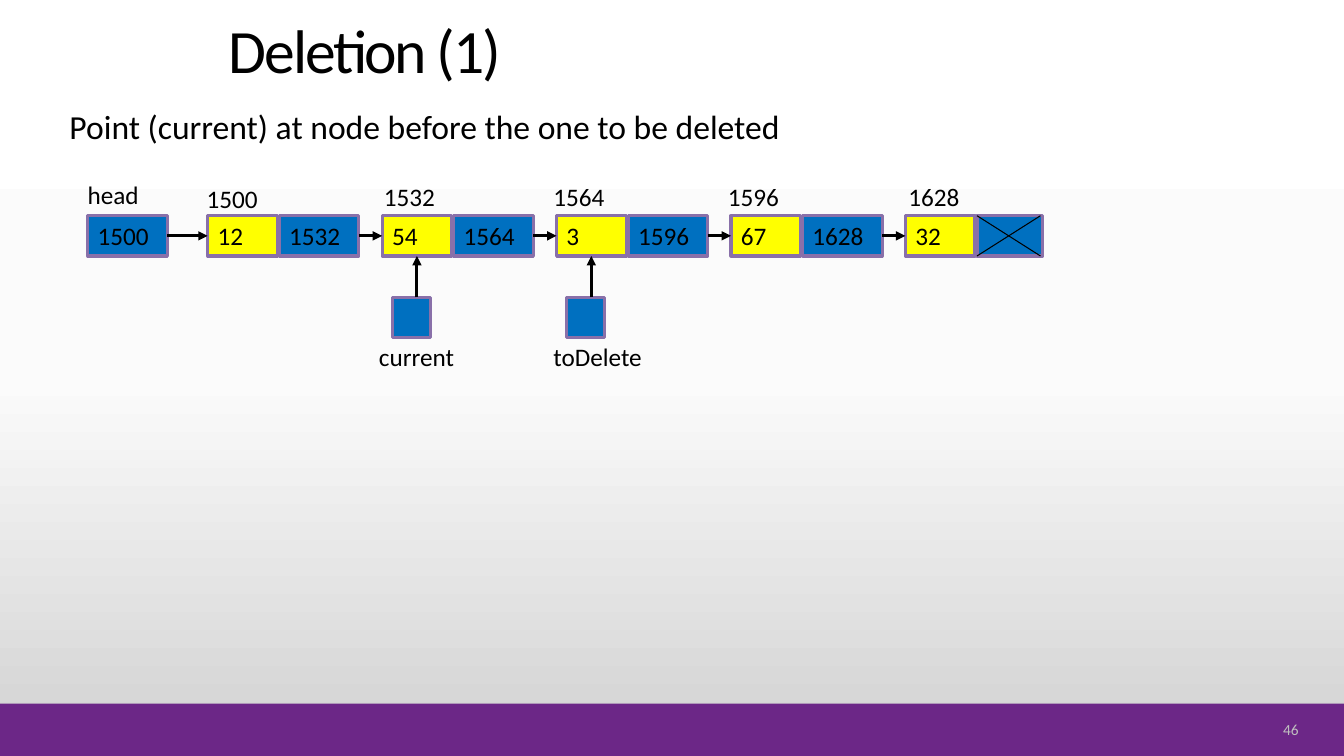
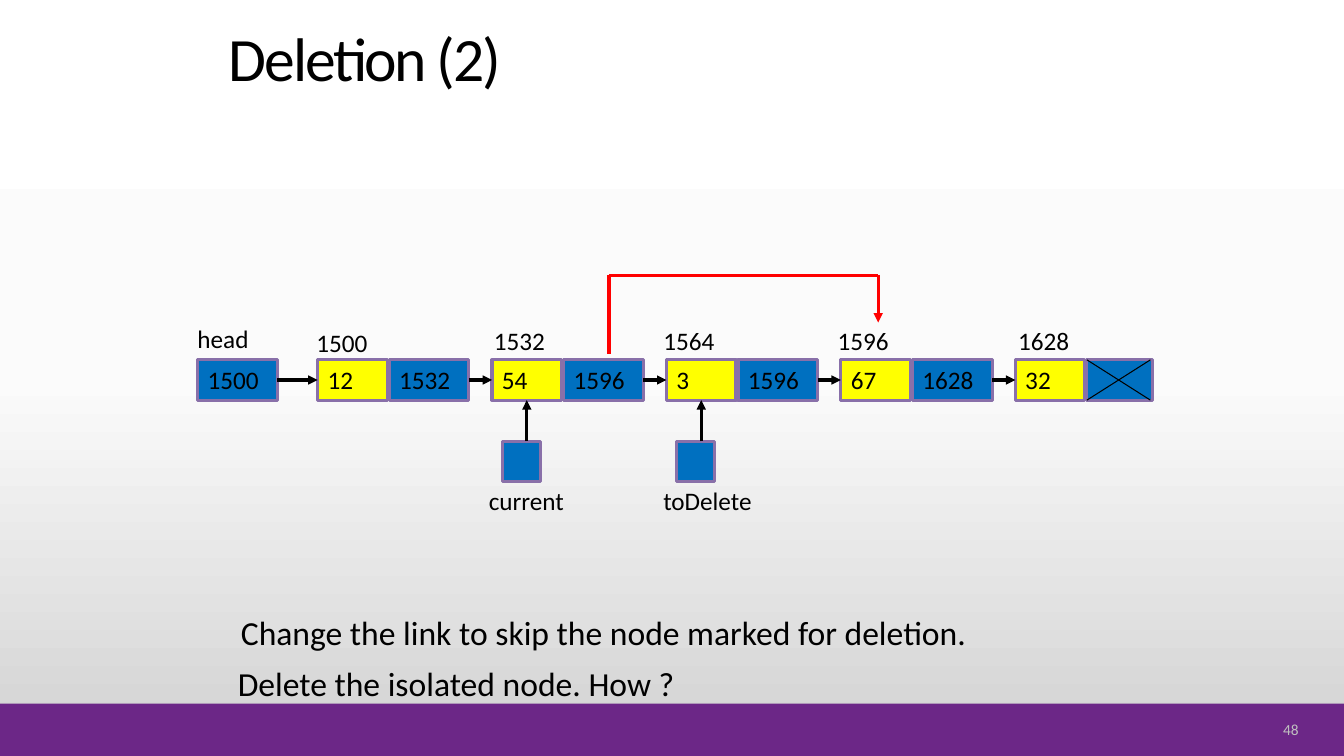
from copy import deepcopy
from dataclasses import dataclass

from lxml import etree
from pptx import Presentation
from pptx.dml.color import RGBColor
from pptx.enum.shapes import MSO_CONNECTOR, MSO_SHAPE
from pptx.enum.text import MSO_ANCHOR, PP_ALIGN
from pptx.oxml.ns import qn
from pptx.util import Inches, Pt

STRAIGHT = MSO_CONNECTOR.STRAIGHT
RECTANGLE = MSO_SHAPE.RECTANGLE
TOP, MIDDLE, BOTTOM = MSO_ANCHOR.TOP, MSO_ANCHOR.MIDDLE, MSO_ANCHOR.BOTTOM
LEFT, RIGHT = PP_ALIGN.LEFT, PP_ALIGN.RIGHT
LEFT_SIDE, BOTTOM_SIDE, RIGHT_SIDE = 1, 2, 3


@dataclass(frozen=True)
class Theme:
    font: str = "Calibri"
    ink: str = "000000"
    band: str = "6C2787"
    number: str = "BFBFBF"
    link_cell: str = "0070C0"
    data_cell: str = "FFFF00"
    border: str = "8970A9"
    skip: str = "FF0000"
    backdrop: tuple = ((0, "FFFFFF"), (0.5, "FBFBFB"), (1, "D1D1D1"))
    title_size: int = 44
    body_size: int = 24
    cell_size: int = 18
    number_size: int = 11
    thick: float = 2.25
    thin: float = 0.75


THEME = Theme()
PAGE_WIDTH, PAGE_HEIGHT = 13.33, 7.5
BAND_TOP = 6.98

# List diagram, measured from the top left corner of the head cell
FIRST_NODE, NODE_STEP = 1.19, 1.73
DATA_WIDTH, LINK_LEFT, LINK_WIDTH, END_WIDTH = 0.69, 0.71, 0.79, 0.65
CELL_HEIGHT = 0.4
# Address, value and left edge of the address label relative to its node
NODES = (
    ("1500", "12", -0.11),
    ("1532", "54", -0.08),
    ("1564", "3", -0.13),
    ("1596", "67", -0.13),
    ("1628", "32", -0.07),
)
CURRENT, TO_DELETE, AFTER = 1, 2, 3


def color(code):
    return RGBColor.from_string(code)


def write(shape, text, size=THEME.cell_size, ink=THEME.ink, anchor=TOP,
          align=LEFT, wrap=True, line_spacing=None, tracking=None):
    frame = shape.text_frame
    frame.word_wrap = wrap
    frame.vertical_anchor = anchor
    para = frame.paragraphs[0]
    para.alignment = align
    if line_spacing:
        para.line_spacing = line_spacing
    span = para.add_run()
    span.text = text
    span.font.name = THEME.font
    span.font.size = Pt(size)
    span.font.color.rgb = color(ink)
    if tracking:
        span.font._element.set("spc", str(round(tracking * 100)))


def add_text(page, text, left, top, width, height, **style):
    box = page.shapes.add_textbox(Inches(left), Inches(top), Inches(width), Inches(height))
    write(box, text, **style)


def add_box(page, left, top, width, height, fill, border=None, text=""):
    box = page.shapes.add_shape(RECTANGLE, Inches(left), Inches(top),
                                Inches(width), Inches(height))
    box.shadow.inherit = False
    box.fill.solid()
    box.fill.fore_color.rgb = color(fill)
    if border:
        box.line.color.rgb = color(border)
        box.line.width = Pt(THEME.thick)
    else:
        box.line.fill.background()
    if text:
        write(box, text)
    return box


def add_line(page, start, end, ink=THEME.ink, width=THEME.thick, arrow=False):
    line = page.shapes.add_connector(STRAIGHT, *map(Inches, (*start, *end)))
    line.line.color.rgb = color(ink)
    line.line.width = Pt(width)
    if arrow:
        outline = line.line._get_or_add_ln()
        etree.SubElement(outline, qn("a:tailEnd"), type="triangle")
    etree.SubElement(line._element.spPr, qn("a:effectLst"))
    return line


def set_backdrop(master):
    fill = master.background.fill
    fill.gradient()
    fill.gradient_angle = 270
    stops = master.element.find(".//" + qn("a:gsLst"))
    stops.insert(1, deepcopy(stops[0]))
    for stop, (position, code) in zip(fill.gradient_stops, THEME.backdrop):
        stop.position = position
        stop.color.rgb = color(code)


def add_page(deck, title, title_height, number):
    page = deck.slides.add_slide(deck.slide_layouts[6])
    # Footer band
    add_box(page, 0, BAND_TOP, PAGE_WIDTH, PAGE_HEIGHT - BAND_TOP, THEME.band)
    add_text(page, number, 12.23, 7.12, 0.75, 0.23, size=THEME.number_size,
             ink=THEME.number, anchor=MIDDLE, align=RIGHT)
    # Title
    add_text(page, title, 2.17, 0.13, 8.25, title_height, size=THEME.title_size,
             anchor=BOTTOM, line_spacing=0.9, tracking=-1.5)
    return page


def node_left(left, index):
    return left + FIRST_NODE + index * NODE_STEP


def add_cross(page, left, top, width, height):
    right, bottom = left + width, top + height
    add_line(page, (left, top), (right, bottom), width=THEME.thin)
    add_line(page, (right, top), (left, bottom), width=THEME.thin)


def add_pointer(page, name, label_width, cell, left, top):
    """Small named cell below a node, with an arrow up to its data cell."""
    add_box(page, left + 0.1, top + 0.81, 0.38, CELL_HEIGHT, THEME.link_cell, THEME.border)
    center = left + DATA_WIDTH / 2
    arrow = add_line(page, (center, top + 0.81), (center, top + CELL_HEIGHT), arrow=True)
    arrow.end_connect(cell, BOTTOM_SIDE)
    add_text(page, name, left - 0.13, top + 1.2, label_width, CELL_HEIGHT, wrap=False)


def add_linked_list(page, left, top, links):
    """Head cell and five nodes; links holds the address in each link cell."""
    # Head
    add_text(page, "head", left - 0.1, top - 0.41, 0.72, CELL_HEIGHT, wrap=False)
    previous = add_box(page, left, top, LINK_WIDTH, CELL_HEIGHT,
                       THEME.link_cell, THEME.border, NODES[0][0])
    data_cells = []
    for index, (address, value, label_shift) in enumerate(NODES):
        x = node_left(left, index)
        label_top = top - (0.39 if index else 0.37)
        add_text(page, address, x + label_shift, label_top, 0.71, CELL_HEIGHT, wrap=False)
        # Data and link cells
        data = add_box(page, x, top, DATA_WIDTH, CELL_HEIGHT,
                       THEME.data_cell, THEME.border, value)
        link_width = LINK_WIDTH if links[index] else END_WIDTH
        link = add_box(page, x + LINK_LEFT, top, link_width, CELL_HEIGHT,
                       THEME.link_cell, THEME.border, links[index])
        # Arrow from the cell before
        arrow = add_line(page, (x - 0.2, top), (x, top), arrow=True)
        arrow.begin_connect(previous, RIGHT_SIDE)
        arrow.end_connect(data, LEFT_SIDE)
        previous = link
        data_cells.append(data)
    add_cross(page, x + LINK_LEFT, top, 0.63, CELL_HEIGHT)
    # Named pointers
    for name, width, index in (("current", 0.99, CURRENT), ("toDelete", 1.09, TO_DELETE)):
        add_pointer(page, name, width, data_cells[index], node_left(left, index), top)


def add_skip_link(page, left, top):
    """Red path from the current node over the deleted one."""
    start = node_left(left, CURRENT) + 1.16
    end = node_left(left, AFTER) + 0.37
    ridge = top - 0.84
    corners = ((start, top - 0.06), (start, ridge), (end, ridge), (end, top - 0.37))
    for index in range(3):
        add_line(page, corners[index], corners[index + 1], ink=THEME.skip, arrow=index == 2)


def add_find_page(deck):
    page = add_page(deck, "Deletion (1)", 0.78, "46")
    add_linked_list(page, 0.87, 2.14, ("1532", "1564", "1596", "1628", ""))
    add_text(page, "Point (current) at node before the one to be deleted",
             0.59, 1, 7.81, 0.5, size=THEME.body_size)


def add_relink_page(deck):
    page = add_page(deck, "Deletion (2)", 0.86, "48")
    left, top = 1.96, 3.57
    add_skip_link(page, left, top)
    add_linked_list(page, left, top, ("1532", "1596", "1596", "1628", ""))
    add_text(page, "Change the link to skip the node marked for deletion.",
             2.29, 6.02, 8.91, 0.5, size=THEME.body_size)
    add_text(page, "Delete the isolated node. How ?",
             2.26, 6.53, 5.08, 0.5, size=THEME.body_size)


def main():
    deck = Presentation()
    deck.slide_width = Inches(PAGE_WIDTH)
    deck.slide_height = Inches(PAGE_HEIGHT)
    set_backdrop(deck.slide_master)
    add_find_page(deck)
    add_relink_page(deck)
    deck.save("out.pptx")


if __name__ == "__main__":
    main()
